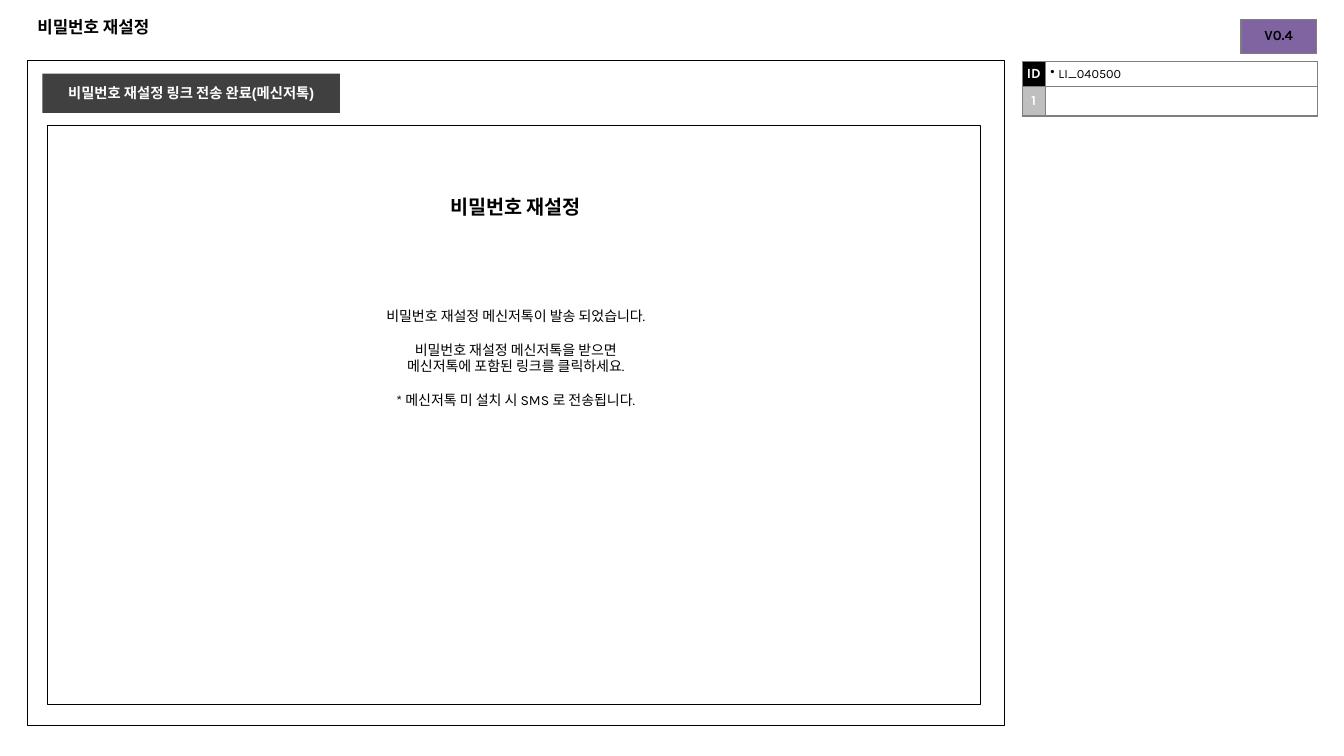
"""Build the password reset screen specification slide."""
from lxml import etree
from pptx import Presentation, util as u
from pptx.dml.color import RGBColor
from pptx.enum import shapes, text
from pptx.oxml.ns import qn

C = dict(black="000000", white="FFFFFF", dark="404040", grey="7F7F7F",
         light="BFBFBF", purple="8064A2")
prs = Presentation()
prs.slide_width, prs.slide_height = u.Inches(13.33), u.Inches(7.5)
W, H = prs.slide_width / 100, prs.slide_height / 100
s = prs.slides.add_slide(prs.slide_layouts[5])


def box(x, y, w, h):
    """Turn percentages of the slide into left, top, width, height."""
    return int(x * W), int(y * H), int(w * W), int(h * H)


def write(tf, words, size=10, font="Karla", color="black", bold=False,
          align=text.PP_ALIGN.CENTER, anchor=text.MSO_ANCHOR.MIDDLE,
          inset=None, before=0, new=False):
    """Write one formatted paragraph into a text frame or table cell."""
    frame = getattr(tf, "text_frame", tf)
    frame.word_wrap = True
    tf.vertical_anchor = anchor
    if inset is not None:
        tf.margin_left = tf.margin_right = u.Inches(inset)
        tf.margin_top = tf.margin_bottom = u.Inches(inset)
    p = frame.add_paragraph() if new else frame.paragraphs[0]
    p.alignment = align
    if before:
        p.space_before = u.Pt(before)
    if words:
        r = p.add_run()
        r.text = words
        r.font.size, r.font.name, r.font.bold = u.Pt(size), font, bold
        r.font.color.rgb = RGBColor.from_string(C[color])
    else:
        etree.SubElement(p._p, qn("a:endParaRPr"), sz=str(size * 100))
    return p


panels = [
    (box(2.03, 8, 72.69, 88), None, 0.75),
    (box(3.53, 16.53, 69.38, 76.67), None, 0.25),
    (box(3.15, 9.73, 22.13, 5.2), "dark", None),
]
for place, fill, line in panels:
    sp = s.shapes.add_shape(shapes.MSO_SHAPE.RECTANGLE, *place)
    sp.shadow.inherit = False
    if fill:
        sp.fill.solid()
        sp.fill.fore_color.rgb = RGBColor.from_string(C[fill])
        sp.line.fill.background()
    else:
        sp.fill.background()
        sp.line.color.rgb = RGBColor.from_string(C["black"])
        sp.line.width = u.Pt(line)
write(sp.text_frame, "비밀번호 재설정 링크 전송 완료(메신저톡)", size=10.2,
      font="Arial", color="white", bold=True)

title = s.shapes.title
title.left, title.top, title.width, title.height = box(2.03, 0.93, 95.93, 5.2)
write(title.text_frame, "비밀번호 재설정", size=12, font="Arial", bold=True,
      align=text.PP_ALIGN.LEFT)

heading = s.shapes.add_textbox(*box(27.3, 25.07, 22.13, 4.53))
write(heading.text_frame, "비밀번호 재설정", size=14, font="Arial", bold=True,
      anchor=text.MSO_ANCHOR.TOP)

message = s.shapes.add_textbox(*box(24.08, 40.13, 28.58, 13.33))
lines = [
    ("비밀번호 재설정 메신저톡이 발송 되었습니다.", 0),
    ("비밀번호 재설정 메신저톡을 받으면", 12),
    ("메신저톡에 포함된 링크를 클릭하세요.", 0),
    ("* 메신저톡 미 설치 시 SMS 로 전송됩니다.", 12),
]
for i, (words, before) in enumerate(lines):
    write(message.text_frame, words, inset=0.04, before=before, new=i > 0,
          anchor=text.MSO_ANCHOR.TOP)

tables = [
    (76.05, 8.13, [1.73, 20.25], [3.27, 3.87],
     [[("ID", "black", "white"), ("LI_040500", None, "black")],
      [("1", "light", "white"), ("", None, "black")]]),
    (92.33, 2.53, [5.63], [4.53], [[("V0.4", "purple", "black")]]),
]
for x, y, cols, rows, cells in tables:
    place = box(x, y, sum(cols), sum(rows))
    tbl = s.shapes.add_table(len(rows), len(cols), *place).table
    tbl.first_row = tbl.horz_banding = False
    for col, share in zip(tbl.columns, cols):
        col.width = int(share * W)
    for row, share, values in zip(tbl.rows, rows, cells):
        row.height = int(share * H)
        for cell, (words, fill, color) in zip(row.cells, values):
            if fill:
                cell.fill.solid()
                cell.fill.fore_color.rgb = RGBColor.from_string(C[fill])
                write(cell, words, color=color, bold=True, inset=0)
            else:
                cell.fill.background()
                p = write(cell, words, size=9, color=color, inset=0.05,
                          align=text.PP_ALIGN.LEFT, anchor=text.MSO_ANCHOR.TOP)
                if words:
                    pPr = p._p.get_or_add_pPr()
                    pPr.set("marL", str(u.Inches(0.08)))
                    pPr.set("indent", str(-u.Inches(0.08)))
                    etree.SubElement(pPr, qn("a:buChar"), char="•")
            tcPr = cell._tc.get_or_add_tcPr()
            for i, side in enumerate(["lnL", "lnR", "lnT", "lnB"]):
                ln = etree.Element(qn(f"a:{side}"), w=str(u.Pt(1)))
                solid = etree.SubElement(ln, qn("a:solidFill"))
                etree.SubElement(solid, qn("a:srgbClr"), val=C["grey"])
                tcPr.insert(i, ln)

prs.save("out.pptx")
